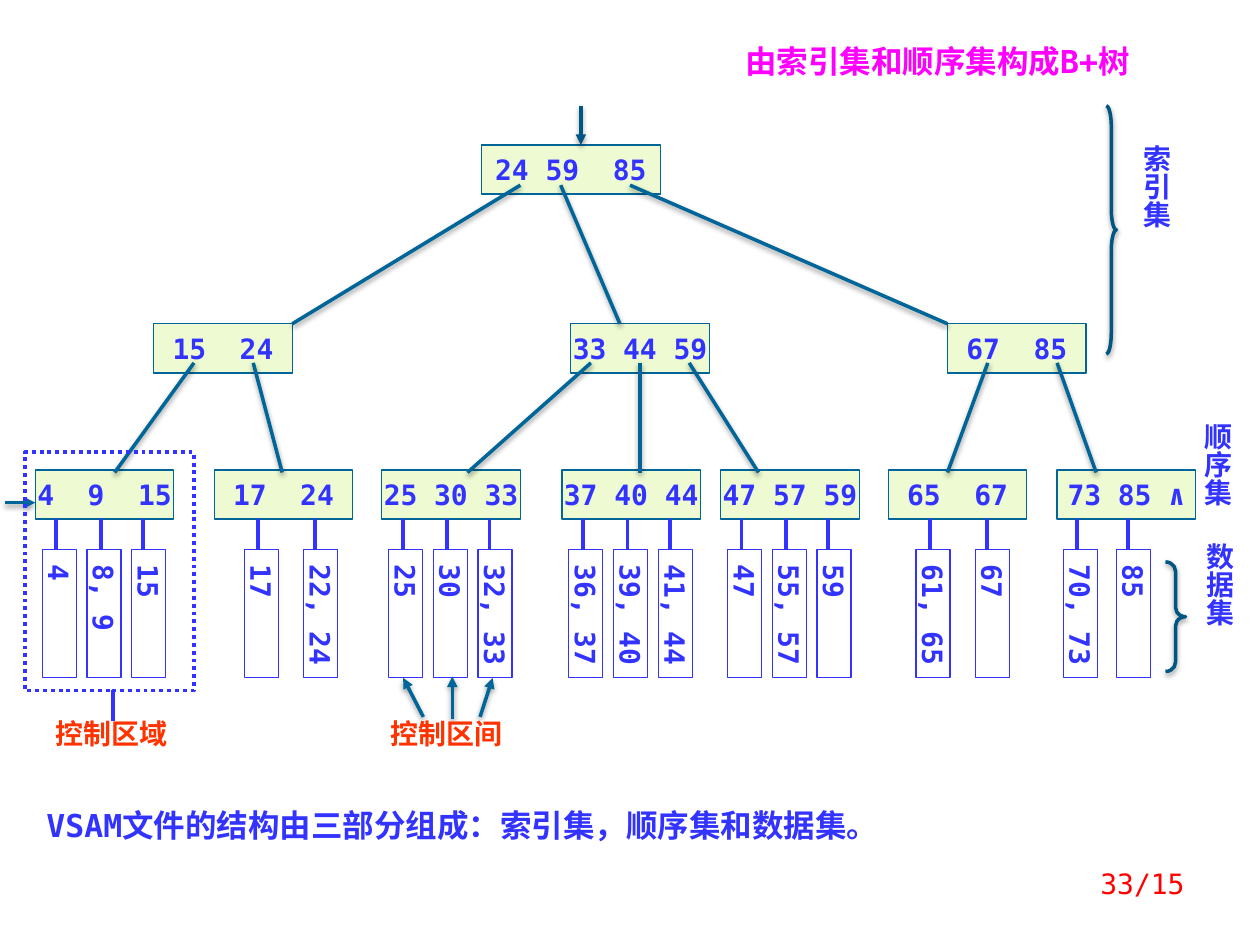
"""Build a slide showing how a VSAM file is organised as a B+ tree."""
from dataclasses import dataclass

from lxml import etree
from pptx import Presentation
from pptx.dml.color import RGBColor
from pptx.enum.dml import MSO_LINE_DASH_STYLE as Dash
from pptx.enum.shapes import MSO_CONNECTOR as Connector, MSO_SHAPE as Preset
from pptx.enum.text import MSO_ANCHOR as Anchor, MSO_AUTO_SIZE as AutoSize, PP_ALIGN as Align
from pptx.oxml.ns import qn
from pptx.util import Inches, Pt


@dataclass(frozen=True)
class Theme:
    ink: str = "3333FF"
    title: str = "FF00FF"
    accent: str = "FF3300"
    number: str = "FF0000"
    node: str = "EDFAD2"
    edge: str = "006699"
    brace: str = "005682"
    mono: str = "DejaVu Sans Mono"
    chinese: str = "Noto Sans CJK SC"
    body: int = 16
    heading: int = 18
    thin: float = 0.75
    medium: float = 2
    thick: float = 2.25


THEME = Theme()
SLIDE_WIDTH, SLIDE_HEIGHT = 10, 7.5
ROOT_TOP, INDEX_TOP, SEQUENCE_TOP, DATA_TOP = 1.15, 2.57, 3.73, 4.36
NODE_WIDTH, NODE_HEIGHT = 1.1, 0.39
DATA_WIDTH, DATA_HEIGHT = 0.27, 1.02
TRIPLE = (0.055, 0.355)

TITLE = ("由索引集和顺序集构成B+树", (5.63, 0.28, 3.62, 0.4))
ROOT = (3.82, "24 59  85", 1.42)
INDEX_NODES = [(1.22, "15  24"), (4.53, "33 44 59"), (7.52, "67  85")]
SEQUENCE_NODES = [
    (0.28, "4  9  15", TRIPLE, ["4", "8, 9", "15"]),
    (1.7, "17  24", (0.24, 0.47), ["17", "22, 24"]),
    (3.03, "25 30 33", TRIPLE, ["25", "30", "32, 33"]),
    (4.46, "37 40 44", TRIPLE, ["36, 37", "39, 40", "41, 44"]),
    (5.72, "47 57 59", TRIPLE, ["47", "55, 57", "59"]),
    (7.05, "65  67", (0.22, 0.47), ["61, 65", "67"]),
    (8.39, "73 85 ∧", (0.05, 0.42), ["70, 73", "85"]),
]
ROOT_EDGES = [(4.13, 2.32), (4.45, 4.92), (5, 7.52)]
INDEX_EDGES = [(1.54, 0.91), (2.01, 2.24), (4.69, 3.71), (5.08, 5.08),
               (5.47, 6.02), (7.84, 7.52), (8.39, 8.7)]
ARROWS = [
    ((4.61, 0.84), (4.61, ROOT_TOP), THEME.brace),
    ((0.04, 3.99), (0.28, 3.99), THEME.edge),
    ((3.36, 5.69), (3.2, 5.38), THEME.edge),
    ((3.59, 5.71), (3.59, 5.37), THEME.edge),
    ((3.81, 5.69), (3.91, 5.38), THEME.edge),
]
CONTROL_AREA = (0.2, 3.59, 1.34, 1.89)
BRACES = [((8.78, 0.84, 0.08, 1.97), 2.05), ((9.25, 4.46, 0.16, 0.87), 0.46)]
SIDE_LABELS = [
    ("索引集", (9.04, 1.15, 0.27, 1.34)),
    ("数据集", (9.54, 4.31, 0.27, 1.1)),
    ("顺序集", (9.53, 3.36, 0.27, 1.1)),
]
CONTROL_LABELS = [("控制区域", (0.2, 5.64, 1.37, 0.37)), ("控制区间", (2.87, 5.64, 1.35, 0.37))]
SUMMARY = ("VSAM文件的结构由三部分组成：索引集，顺序集和数据集。", (0.27, 6.35, 7.3, 0.4))
PAGE_NUMBER = ("33/15", (7.17, 6.83, 2.33, 0.5))


def color(value):
    return RGBColor.from_string(value)


def box(values):
    return [Inches(value) for value in values]


def write(shape, text, ink=THEME.ink, size=THEME.body, font=THEME.mono, bold=True,
          align=Align.CENTER, anchor=Anchor.TOP, wrap=True, insets=None, vertical=False):
    """Put one formatted paragraph into a shape."""
    frame = shape.text_frame
    frame.text = text
    frame.word_wrap = wrap
    frame.auto_size = AutoSize.NONE
    frame.vertical_anchor = anchor
    if insets:
        frame.margin_left, frame.margin_top, frame.margin_right, frame.margin_bottom = box(insets)
    if vertical:
        frame._txBody.bodyPr.set("vert", "eaVert")
    paragraph = frame.paragraphs[0]
    paragraph.alignment = align
    for run in paragraph.runs:
        run.font.size = Pt(size)
        run.font.bold = bold
        run.font.name = font
        run.font.color.rgb = color(ink)
        etree.SubElement(run._r.get_or_add_rPr(), qn("a:ea"), typeface=THEME.chinese)


def add_label(slide, label, **style):
    text, place = label
    write(slide.shapes.add_textbox(*box(place)), text, **style)


def add_outline(slide, preset, place, line, width, fill=None):
    shape = slide.shapes.add_shape(preset, *box(place))
    shape.shadow.inherit = False
    if fill:
        shape.fill.solid()
        shape.fill.fore_color.rgb = color(fill)
    else:
        shape.fill.background()
    shape.line.color.rgb = color(line)
    shape.line.width = Pt(width)
    return shape


def add_node(slide, left, top, keys, width=NODE_WIDTH):
    node = add_outline(slide, Preset.RECTANGLE, (left, top, width, NODE_HEIGHT),
                       THEME.edge, THEME.thin, THEME.node)
    write(node, keys, anchor=Anchor.MIDDLE, wrap=False)


def cast_shadow(effects):
    shadow = etree.SubElement(effects, qn("a:outerShdw"), blurRad=str(Pt(3.1)),
                              dist=str(Pt(1.6)), dir="5400000", rotWithShape="0")
    black = etree.SubElement(shadow, qn("a:srgbClr"), val="000000")
    etree.SubElement(black, qn("a:alpha"), val="38000")


def add_line(slide, start, end, ink=THEME.edge, width=THEME.medium, arrow=False, shadow=True):
    line = slide.shapes.add_connector(Connector.STRAIGHT, *box((*start, *end)))
    line.line.color.rgb = color(ink)
    line.line.width = Pt(width)
    if arrow:
        etree.SubElement(line.line._get_or_add_ln(), qn("a:tailEnd"), type="triangle")
    effects = etree.SubElement(line._element.spPr, qn("a:effectLst"))
    if shadow:
        cast_shadow(effects)


def add_stem(slide, x, top, bottom):
    add_line(slide, (x, top), (x, bottom), THEME.ink, THEME.thick, shadow=False)


def add_sequence_node(slide, left, keys, spacing, records):
    add_node(slide, left, SEQUENCE_TOP, keys)
    first, step = spacing
    for index, record in enumerate(records):
        x = left + first + index * step
        interval = add_outline(slide, Preset.RECTANGLE, (x, DATA_TOP, DATA_WIDTH, DATA_HEIGHT),
                               THEME.ink, THEME.thin)
        write(interval, record, align=Align.LEFT, insets=(0, 0.12, 0, 0), vertical=True)
        offset = 0.09 if index == len(records) - 1 else 0.11
        add_stem(slide, x + offset, SEQUENCE_TOP + NODE_HEIGHT, DATA_TOP)


def add_tree(slide):
    left, keys, width = ROOT
    add_node(slide, left, ROOT_TOP, keys, width)
    for node in SEQUENCE_NODES:
        add_sequence_node(slide, *node)
    for left, keys in INDEX_NODES:
        add_node(slide, left, INDEX_TOP, keys)
    for edges, top, bottom in ((INDEX_EDGES, 2.88, 3.75), (ROOT_EDGES, 1.47, INDEX_TOP)):
        for start, end in edges:
            add_line(slide, (start, top), (end, bottom))


def add_annotations(slide):
    for start, end, ink in ARROWS:
        add_line(slide, start, end, ink, arrow=True)
    area = add_outline(slide, Preset.RECTANGLE, CONTROL_AREA, THEME.ink, THEME.thick)
    area.line.dash_style = Dash.ROUND_DOT
    add_stem(slide, 0.9, 5.48, 5.72)
    for place, curve in BRACES:
        brace = add_outline(slide, Preset.RIGHT_BRACE, place, THEME.brace, THEME.medium)
        brace.adjustments[0] = curve
        cast_shadow(brace._element.spPr.find(qn("a:effectLst")))
    for label in SIDE_LABELS:
        add_label(slide, label, font=THEME.chinese, insets=(0, 0, 0, 0), vertical=True)
    for label in CONTROL_LABELS:
        add_label(slide, label, ink=THEME.accent, font=THEME.chinese)
    add_label(slide, SUMMARY, size=THEME.heading, align=Align.LEFT)
    add_label(slide, PAGE_NUMBER, ink=THEME.number, bold=False, align=Align.RIGHT)


def main():
    presentation = Presentation()
    presentation.slide_width, presentation.slide_height = box((SLIDE_WIDTH, SLIDE_HEIGHT))
    slide = presentation.slides.add_slide(presentation.slide_layouts.get_by_name("Title Only"))
    text, place = TITLE
    title = slide.shapes.title
    title.left, title.top, title.width, title.height = box(place)
    write(title, text, ink=THEME.title, size=THEME.heading)
    add_tree(slide)
    add_annotations(slide)
    presentation.save("out.pptx")


if __name__ == "__main__":
    main()
